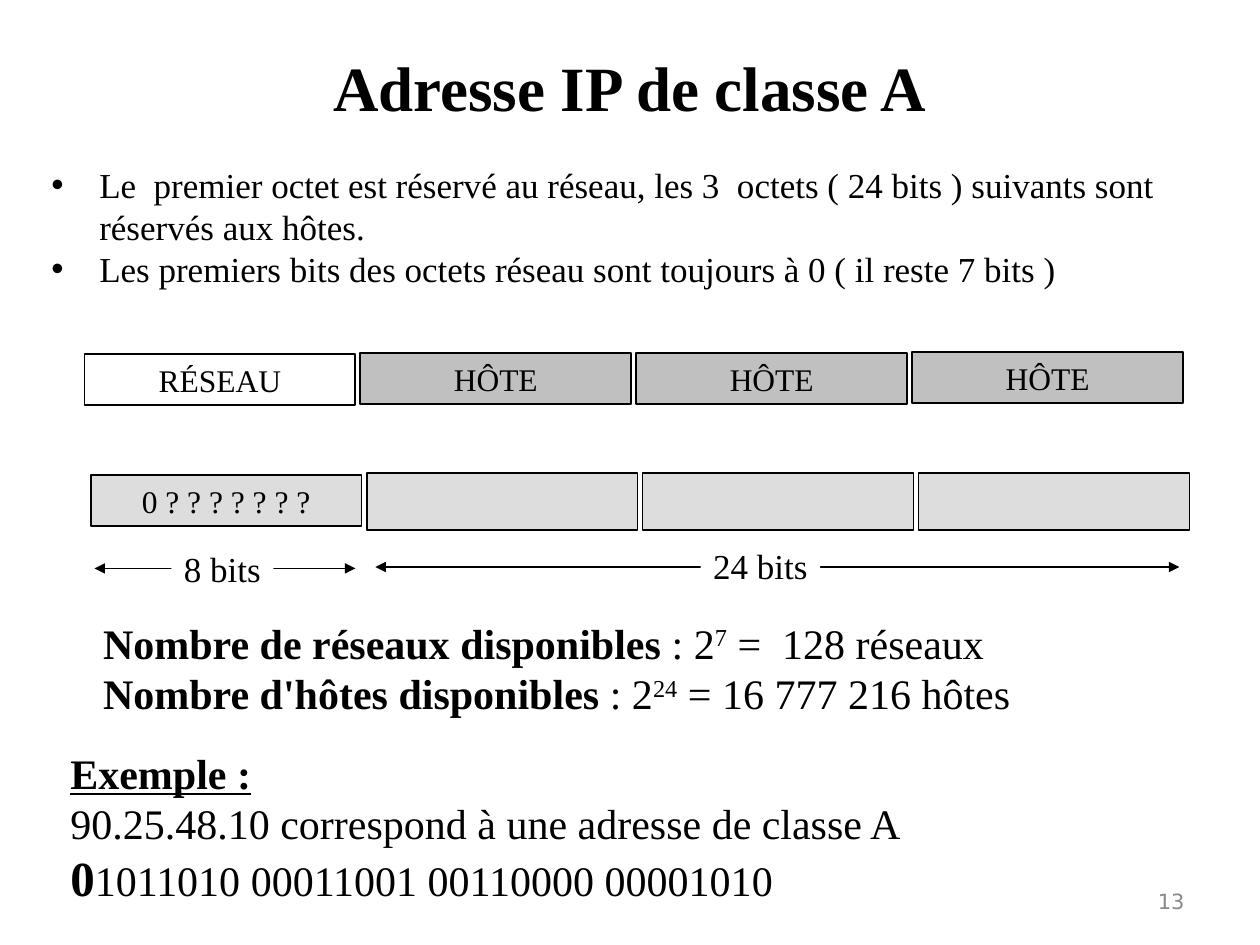
from dataclasses import dataclass

import pptx
import pptx.dml.color
import pptx.enum.shapes
import pptx.enum.text
import pptx.oxml
import pptx.oxml.ns
import pptx.util

SLIDE_WIDTH, SLIDE_HEIGHT = pptx.util.Inches(10), pptx.util.Inches(7.5)
SERIF = "Times New Roman"
BLACK, WHITE, SILVER, PALE = "000000", "FFFFFF", "C0C0C0", "DDDDDD"
ALIGN = pptx.enum.text.PP_ALIGN
ANCHOR = pptx.enum.text.MSO_ANCHOR

# Octet grid, in percent of the slide's width
COLUMN_PITCH, COLUMN_WIDTH = 21.9, 21.5


@dataclass(frozen=True)
class Area:
    """A rectangle in percent of the slide's width and height."""
    left: float
    top: float
    width: float
    height: float

    def lengths(self) -> tuple:
        return (across(self.left), down(self.top),
                across(self.width), down(self.height))


@dataclass(frozen=True)
class Piece:
    """A stretch of text with its own format."""
    text: str
    size: float = 24
    bold: bool = False
    underline: bool = False
    raised: bool = False
    name: str = SERIF
    colour: str = BLACK


@dataclass(frozen=True)
class Octet:
    """One cell of an octet row."""
    column: int
    top: float
    height: float
    fill: str
    label: str = ""


@dataclass(frozen=True)
class Span:
    """A double arrow with its label over the middle."""
    start: float
    end: float
    level: float
    label: str
    label_area: Area


def across(percent: float) -> int:
    return round(SLIDE_WIDTH * percent / 100)


def down(percent: float) -> int:
    return round(SLIDE_HEIGHT * percent / 100)


def colour(code: str) -> pptx.dml.color.RGBColor:
    return pptx.dml.color.RGBColor.from_string(code)


def drawing_element(tag: str, attributes: str = ""):
    namespace = pptx.oxml.ns.nsdecls("a")
    return pptx.oxml.parse_xml(f"<a:{tag} {namespace} {attributes}/>")


def write(shape, lines: list, align=ALIGN.LEFT, anchor=ANCHOR.TOP,
          side_margin: float = 0.1, bullets: bool = False) -> None:
    """Fill a shape with lines, each one a list of pieces."""
    frame = shape.text_frame
    frame_format = {
        "word_wrap": True, "vertical_anchor": anchor,
        "margin_left": pptx.util.Inches(side_margin),
        "margin_right": pptx.util.Inches(side_margin),
    }
    for key, value in frame_format.items():
        setattr(frame, key, value)
    for index, pieces in enumerate(lines):
        para = frame.add_paragraph() if index else frame.paragraphs[0]
        para.alignment = align
        if bullets:
            indent = pptx.util.Inches(0.38)
            properties = para._p.get_or_add_pPr()
            properties.set("marL", str(indent))
            properties.set("indent", str(-indent))
            properties.append(drawing_element("buFont", 'typeface="Arial"'))
            properties.append(drawing_element("buChar", 'char="•"'))
        for piece in pieces:
            run = para.add_run()
            run.text = piece.text
            run_format = {
                "size": pptx.util.Pt(piece.size), "name": piece.name,
                "bold": piece.bold, "underline": piece.underline,
            }
            for key, value in run_format.items():
                setattr(run.font, key, value)
            run.font.color.rgb = colour(piece.colour)
            if piece.raised:
                run._r.get_or_add_rPr().set("baseline", "30000")


def add_text(page, area: Area, lines: list, **layout) -> None:
    write(page.shapes.add_textbox(*area.lengths()), lines, **layout)


def add_rectangle(page, area: Area, fill: str, outlined: bool = True):
    kind = pptx.enum.shapes.MSO_SHAPE.RECTANGLE
    box = page.shapes.add_shape(kind, *area.lengths())
    box.shadow.inherit = False
    box.fill.solid()
    box.fill.fore_color.rgb = colour(fill)
    if outlined:
        box.line.color.rgb = colour(BLACK)
        box.line.width = pptx.util.Pt(1)
    else:
        box.line.fill.background()
    return box


def add_octet(page, row_left: float, octet: Octet) -> None:
    left = row_left + octet.column * COLUMN_PITCH
    area = Area(left, octet.top, COLUMN_WIDTH, octet.height)
    box = add_rectangle(page, area, octet.fill)
    if octet.label:
        write(box, [[Piece(octet.label, 18)]], ALIGN.CENTER, ANCHOR.MIDDLE)


def add_span(page, span: Span) -> None:
    arrow = page.shapes.add_connector(
        pptx.enum.shapes.MSO_CONNECTOR.STRAIGHT,
        across(span.start), down(span.level), across(span.end), down(span.level))
    arrow.line.color.rgb = colour(BLACK)
    arrow.line.width = pptx.util.Pt(1)
    for end in ("headEnd", "tailEnd"):
        arrow.line._get_or_add_ln().append(drawing_element(end, 'type="triangle"'))
    arrow._element.spPr.append(drawing_element("effectLst"))
    label = add_rectangle(page, span.label_area, WHITE, outlined=False)
    write(label, [[Piece(span.label, 20)]], ALIGN.CENTER, ANCHOR.MIDDLE, side_margin=0)


# Left edge of each row and its octets
OCTET_ROWS = [
    (6.7, [Octet(0, 37.45, 5.4, WHITE, "RÉSEAU"),
           Octet(1, 37.35, 5.4, SILVER, "HÔTE"),
           Octet(2, 37.35, 5.4, SILVER, "HÔTE"),
           Octet(3, 37.25, 5.4, SILVER, "HÔTE")]),
    (7.2, [Octet(0, 50.25, 5.4, PALE, "0 ? ? ? ? ? ? ?"),
           *(Octet(column, 50.05, 6, PALE) for column in (1, 2, 3))]),
]
SPANS = [
    Span(7.5, 28.2, 60.15, "8 bits", Area(13.6, 57.2, 8.1, 5.87)),
    Span(29.8, 93.6, 60, "24 bits", Area(55.6, 56.9, 9.5, 5.87)),
]
RULES = [
    "Le  premier octet est réservé au réseau, les 3  octets ( 24 bits ) "
    "suivants sont réservés aux hôtes.",
    "Les premiers bits des octets réseau sont toujours à 0 ( il reste 7 bits )",
]
COUNTS = [
    ("Nombre de réseaux disponibles", "7", " =  128 réseaux"),
    ("Nombre d'hôtes disponibles", "24", " = 16 777 216 hôtes"),
]
EXAMPLE = [
    [Piece("Exemple :", bold=True, underline=True)],
    [Piece("90.25.48.10 correspond à une adresse de classe A")],
    [Piece("0", 28, bold=True), Piece("1011010 00011001 00110000 00001010")],
]


def main() -> None:
    deck = pptx.Presentation()
    deck.slide_width, deck.slide_height = SLIDE_WIDTH, SLIDE_HEIGHT
    page = deck.slides.add_slide(deck.slide_layouts[6])

    # Title and rules
    add_text(page, Area(5, 4, 90, 10.27),
             [[Piece("Adresse IP de classe A", 36, bold=True)]],
             align=ALIGN.CENTER, anchor=ANCHOR.MIDDLE)
    add_text(page, Area(3.1, 16.67, 93.7, 18),
             [[Piece(rule, 20)] for rule in RULES], bullets=True)

    # Address diagram
    for row_left, octets in OCTET_ROWS:
        for octet in octets:
            add_octet(page, row_left, octet)
    for span in SPANS:
        add_span(page, span)

    # Counts and example
    add_text(page, Area(7.2, 64.67, 78, 12),
             [[Piece(name, bold=True), Piece(" : 2"),
               Piece(power, raised=True), Piece(total)]
              for name, power, total in COUNTS])
    add_text(page, Area(4.6, 78.4, 68.1, 18.27), EXAMPLE)

    # Page number
    add_text(page, Area(71.7, 92.67, 23.3, 5.33),
             [[Piece("13", 12, name="DejaVu Sans", colour="898989")]],
             align=ALIGN.RIGHT, anchor=ANCHOR.MIDDLE)
    deck.save("out.pptx")


if __name__ == "__main__":
    main()
